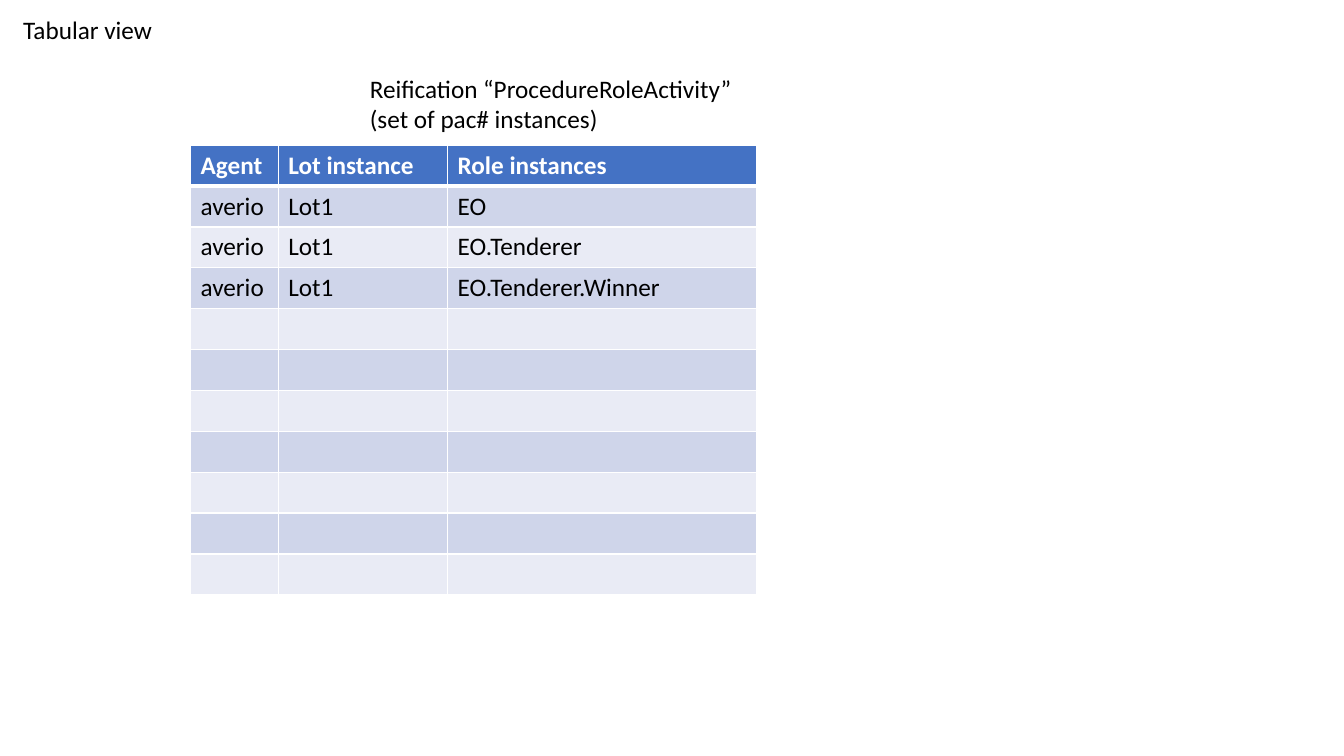
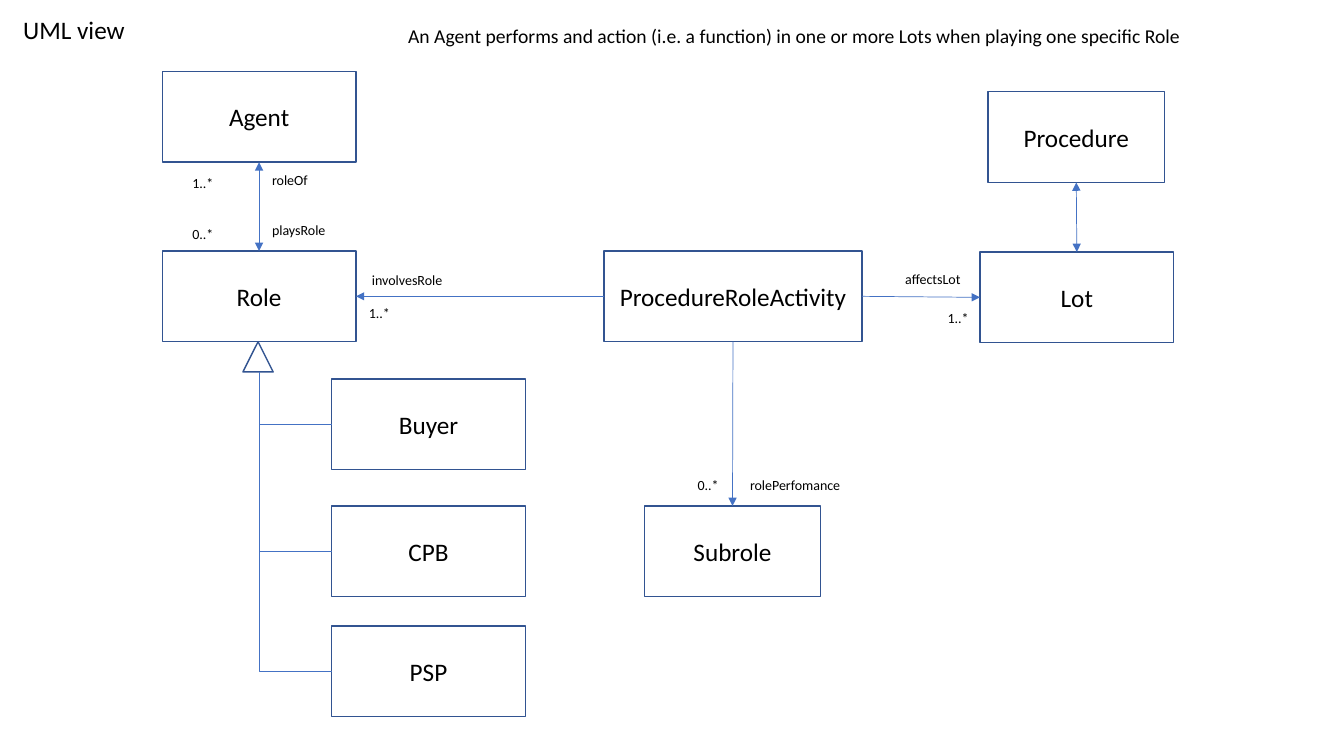
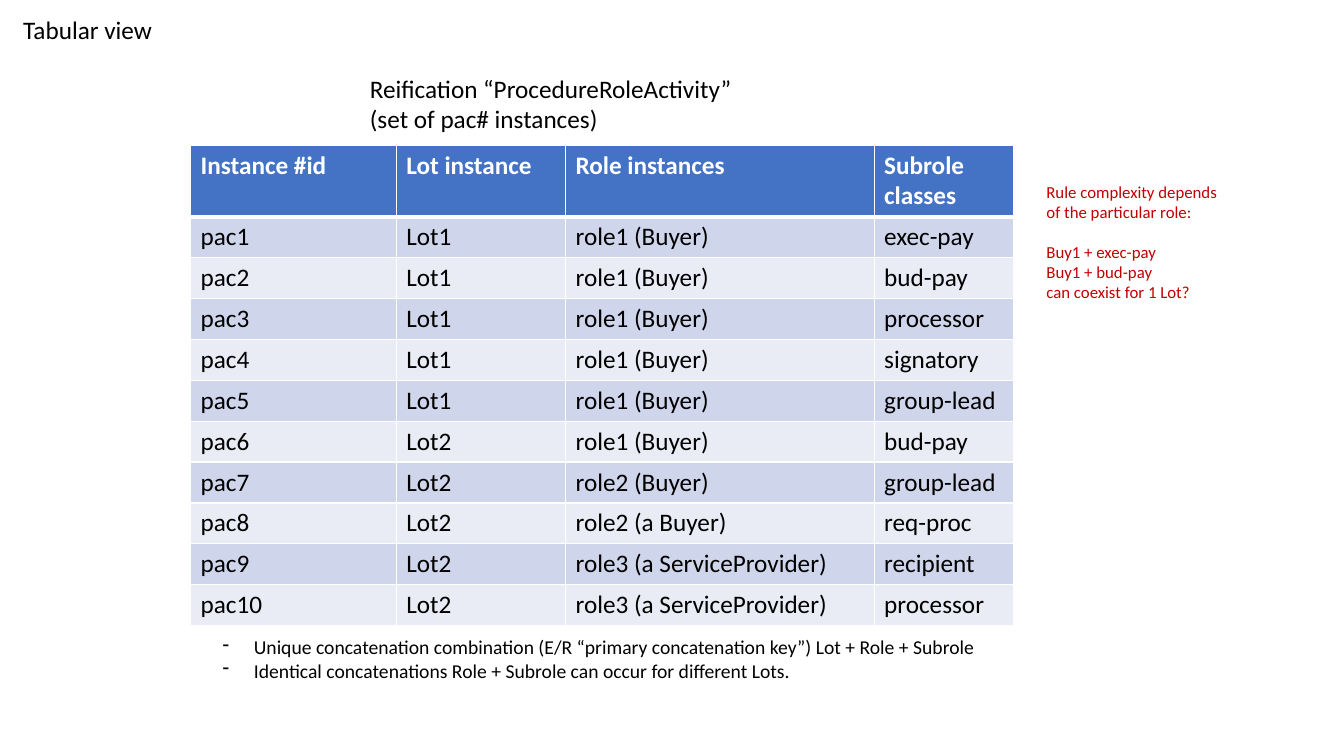
import pptx
import pptx.dml.color
import pptx.enum.shapes
import pptx.enum.text
import pptx.oxml.ns
import pptx.util
import lxml.etree

Inches = pptx.util.Inches
Pt = pptx.util.Pt
Shape = pptx.enum.shapes.MSO_SHAPE
Link = pptx.enum.shapes.MSO_CONNECTOR
Align = pptx.enum.text.PP_ALIGN
Anchor = pptx.enum.text.MSO_ANCHOR
Fit = pptx.enum.text.MSO_AUTO_SIZE
qn = pptx.oxml.ns.qn

BLACK, WHITE, RED = "000000", "FFFFFF", "C00000"
BLUE, NAVY = "4472C4", "325491"
BANDS = ["E9EBF5", "CFD5EA"]
TOP, LEFT, BOTTOM, RIGHT = range(4)


def color(code):
    """Turn a hex string into a colour."""
    return pptx.dml.color.RGBColor.from_string(code)


def format(item, values):
    """Set each attribute of item from a dict."""
    for name, value in values.items():
        setattr(item, name, value)


def add(parent, tag, **values):
    """Append an XML element with attributes."""
    node = lxml.etree.SubElement(parent, qn(tag))
    for name, value in values.items():
        node.set(name, str(value))
    return node


class Deck:
    """Hold the shared style and the current slide."""

    font = "Calibri"
    title = (0.13, 0.09, 1.49, 0.4)

    def __init__(self):
        """Start a wide deck."""
        self.show = pptx.Presentation()
        format(self.show, {"slide_width": Inches(13.33), "slide_height": Inches(7.5)})

    def slide(self, title):
        """Add a slide with its small title at top left."""
        layout = self.show.slide_layouts[5]
        self.page = self.show.slides.add_slide(layout)
        head = self.page.shapes.title
        names = ("left", "top", "width", "height")
        format(head, dict(zip(names, map(Inches, self.title))))
        self.words(head.text_frame, [title])
        format(head.text_frame, {"word_wrap": False, "auto_size": Fit.NONE,
                                 "vertical_anchor": Anchor.TOP})

    def words(self, frame, lines, size=18, ink=BLACK, bold=False, align=Align.LEFT):
        """Fill a text frame, one paragraph a line."""
        frame.text = "\n".join(lines)
        for para in frame.paragraphs:
            para.alignment = align
            format(para.font, {"name": self.font, "size": Pt(size), "bold": bold})
            para.font.color.rgb = color(ink)

    def text(self, spot, lines, size=18, ink=BLACK, wrap=False):
        """Add a text box and return its paragraphs."""
        frame = self.page.shapes.add_textbox(*map(Inches, spot)).text_frame
        self.words(frame, lines, size, ink)
        format(frame, {"word_wrap": wrap, "auto_size": Fit.SHAPE_TO_FIT_TEXT})
        return frame.paragraphs

    def list(self, spot, lines, size):
        """Add a text box with dashes as bullets."""
        for para in self.text(spot, lines, size):
            props = para._p.get_or_add_pPr()
            props.set("marL", str(Inches(0.31)))
            props.set("indent", str(-Inches(0.31)))
            add(props, "a:buChar", char="-")

    def shape(self, kind, spot):
        """Add an outlined shape without fill."""
        item = self.page.shapes.add_shape(kind, *map(Inches, spot))
        item.shadow.inherit = False
        item.fill.background()
        item.line.color.rgb = color(NAVY)
        item.line.width = Pt(1)
        return item

    def box(self, name, left, top, width=1.92):
        """Add a class box."""
        item = self.shape(Shape.RECTANGLE, (left, top, width, 0.9))
        self.words(item.text_frame, [name], align=Align.CENTER)
        item.text_frame.vertical_anchor = Anchor.MIDDLE
        return item

    def line(self, kind, start, end, tips=()):
        """Add a thin connector with arrowheads at the named tips."""
        item = self.page.shapes.add_connector(kind, *start, *end)
        item.line.color.rgb = color(BLUE)
        item.line.width = Pt(0.5)
        props = item._element.spPr
        for tip in tips:
            add(props.find(qn("a:ln")), tip, type="triangle")
        add(props, "a:effectLst")
        return item

    def arrow(self, first, out, last, into, both=False):
        """Join two boxes with a straight arrow."""
        tips = ["a:headEnd", "a:tailEnd"] if both else ["a:tailEnd"]
        item = self.line(Link.STRAIGHT, (0, 0), (0, 0), tips)
        item.begin_connect(first, out)
        item.end_connect(last, into)

    def branch(self, child, root):
        """Join a box's left side to a root above with one bend."""
        start = (child.left, child.top + child.height // 2)
        item = self.line(Link.ELBOW, start, root)
        item._element.spPr.find(qn("a:prstGeom")).set("prst", "bentConnector2")

    def cell(self, cell, value, row):
        """Style one table cell by its row."""
        head = row == 0
        self.words(cell.text_frame, [value], ink=WHITE if head else BLACK, bold=head)
        props = cell._tc.get_or_add_tcPr()
        for side in "LRTB":
            thick = (row, side) in [(0, "B"), (1, "T")]
            edge = add(props, "a:ln" + side, w=Pt(3 if thick else 1))
            add(add(edge, "a:solidFill"), "a:srgbClr", val=WHITE)
        cell.fill.solid()
        cell.fill.fore_color.rgb = color(BLUE if head else BANDS[row % 2])

    def table(self, widths, rows, count=11):
        """Add a banded table, with empty rows up to count."""
        spot = (1.89, 1.44, sum(widths), 4.46)
        grid = self.page.shapes.add_table(count, len(widths), *map(Inches, spot)).table
        for col, width in zip(grid.columns, widths):
            col.width = Inches(width)
        blank = [[""] * len(widths)] * (count - len(rows))
        for r, row in enumerate(rows + blank):
            for c, value in enumerate(row):
                self.cell(grid.cell(r, c), value, r)

    def tabular(self, widths, rows):
        """Add a slide with a captioned table."""
        self.slide("Tabular view")
        self.table(widths, rows)
        self.text((3.57, 0.68, 3.89, 0.71),
                  ["Reification “ProcedureRoleActivity” ", "(set of pac# instances)"])


deck = Deck()

# Agents and their roles
roles = ["EO", "EO.Tenderer", "EO.Tenderer.Winner"]
deck.tabular([0.87, 1.68, 3.06],
             [["Agent", "Lot instance", "Role instances"]]
             + [["averio", "Lot1", role] for role in roles])

# Class diagram
deck.slide("UML view")
agent = deck.box("Agent", 1.61, 0.71)
role = deck.box("Role", 1.61, 2.49)
lot = deck.box("Lot", 9.72, 2.5)
sub = deck.box("Subrole", 6.39, 5.02, 1.75)
act = deck.box("ProcedureRoleActivity", 5.99, 2.49, 2.56)
proc = deck.box("Procedure", 9.8, 0.91, 1.75)
deck.shape(Shape.ISOSCELES_TRIANGLE, (2.41, 3.39, 0.3, 0.3))
for name, top in [("Buyer", 3.76), ("CPB", 5.02), ("PSP", 6.21)]:
    deck.branch(deck.box(name, 3.29, top), (Inches(2.57), Inches(3.69)))
deck.arrow(agent, BOTTOM, role, TOP, both=True)
deck.arrow(proc, BOTTOM, lot, TOP, both=True)
deck.arrow(act, LEFT, role, RIGHT)
deck.arrow(act, BOTTOM, sub, TOP)
deck.arrow(act, RIGHT, lot, LEFT)
labels = [
    ("playsRole", 2.6, 2.15, 0.74), ("roleOf", 2.6, 1.65, 0.56),
    ("1..*", 1.81, 1.68, 0.41), ("0..*", 1.81, 2.19, 0.41),
    ("involvesRole", 3.59, 2.64, 0.91), ("1..*", 3.56, 2.97, 0.41),
    ("rolePerfomance", 7.34, 4.68, 1.12), ("0..*", 6.82, 4.68, 0.41),
    ("affectsLot", 8.88, 2.63, 0.76), ("1..*", 9.3, 3.02, 0.41),
]
for name, left, top, width in labels:
    deck.text((left, top, width, 0.27), [name], 10)
deck.text((3.95, 0.19, 7.93, 0.34),
          ["An Agent performs and action (i.e. a function) in one or more Lots "
           "when playing one specific Role"], 14)

# Activities with subroles
acts = [
    ("Lot1", "role1 (Buyer)", "exec-pay"),
    ("Lot1", "role1 (Buyer)", "bud-pay"),
    ("Lot1", "role1 (Buyer)", "processor"),
    ("Lot1", "role1 (Buyer)", "signatory"),
    ("Lot1", "role1 (Buyer)", "group-lead"),
    ("Lot2", "role1 (Buyer)", "bud-pay"),
    ("Lot2", "role2 (Buyer)", "group-lead"),
    ("Lot2", "role2 (a Buyer)", "req-proc"),
    ("Lot2", "role3 (a ServiceProvider)", "recipient"),
    ("Lot2", "role3 (a ServiceProvider)", "processor"),
]
deck.tabular([2.04, 1.68, 3.06, 1.38],
             [["Instance #id", "Lot instance", "Role instances", "Subrole classes"]]
             + [[f"pac{n}", *row] for n, row in enumerate(acts, 1)])
deck.list((2.11, 6.25, 7.74, 0.57),
          ["Unique concatenation combination (E/R “primary concatenation key”) "
           "Lot + Role + Subrole",
           "Identical concatenations Role + Subrole can occur for different Lots."], 14)
note = deck.text((10.28, 1.75, 2.02, 1.31),
                 ["Rule complexity depends of the particular role:", "Buy1 + exec-pay",
                  "Buy1 + bud-pay", "can coexist for 1 Lot?"], 12, RED, wrap=True)
note[1].space_before = Pt(14.4)

deck.show.save("out.pptx")
